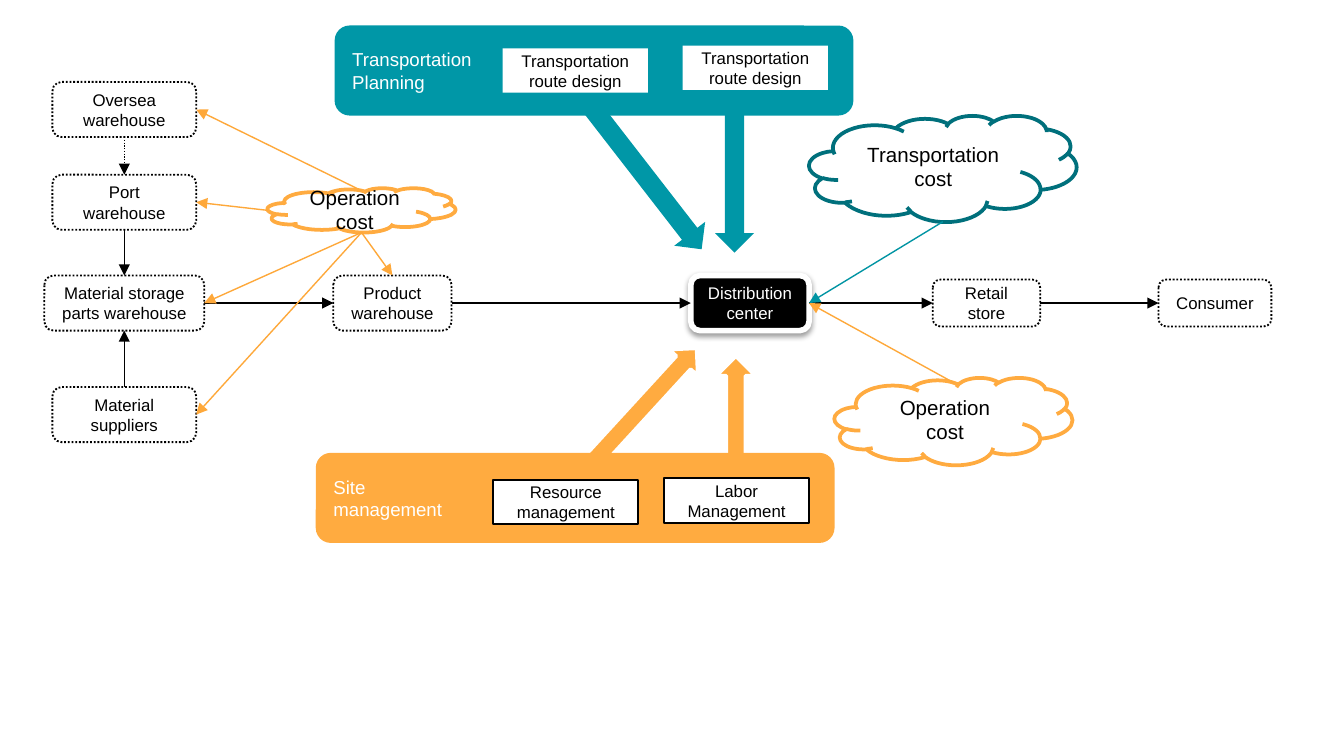
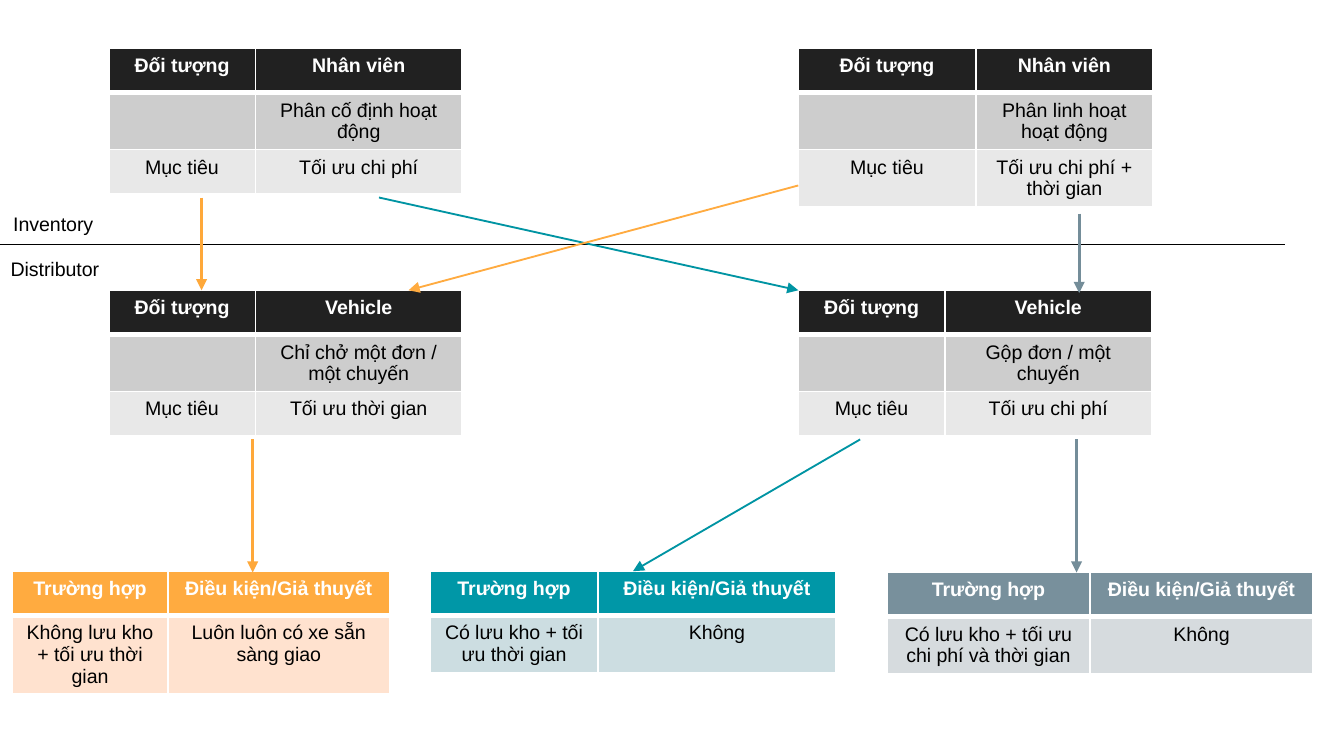
from lxml import etree
from pptx import Presentation
from pptx.dml.color import RGBColor
from pptx.enum import dml, shapes, text
from pptx.oxml import ns
from pptx.util import Inches, Pt

FONT = "Arial"
BLACK, WHITE = "000000", "FFFFFF"
TEAL, DEEP, SEA = "0097A7", "00707C", "0094A3"
AMBER, GOLD = "FFAB40", "FEA83A"
SLATE, STEEL = "78909C", "748D99"
DARK, GREY, PALE = "212121", "CDCDCD", "E8E8E8"
KIND = shapes.MSO_SHAPE

BOXES = {
    "supply": ("Material suppliers", 0.39, 2.88, 1.07, 0.41),
    "center": ("Distribution center", 5.14, 2.05, 0.88, 0.41),
    "retail": ("Retail store", 6.94, 2.08, 0.8, 0.35),
    "buyer": ("Consumer", 8.62, 2.08, 0.84, 0.35),
    "sea": ("Oversea warehouse", 0.39, 0.61, 1.07, 0.41),
    "port": ("Port warehouse", 0.39, 1.3, 1.07, 0.41),
    "parts": ("Material storage parts warehouse", 0.33, 2.05, 1.19, 0.41),
    "goods": ("Product warehouse", 2.48, 2.05, 0.88, 0.41),
}
FLOWS = [
    ("supply", "top", "parts", "bottom"),
    ("sea", "bottom", "port", "top"),
    ("port", "bottom", "parts", "top"),
    ("parts", "right", "goods", "left"),
    ("goods", "right", "center", "left"),
    ("center", "right", "retail", "left"),
    ("retail", "right", "buyer", "left"),
]
PANELS = [
    ("Transportation\nPlanning", TEAL, (2.49, 0.19), None, None,
     [(5.32, 0.5, 1.38, 0), (4.65, 0.61, 1.39, 322.2)],
     [("Transportation route design", 3.74, 0.36),
      ("Transportation route design", 5.08, 0.34)]),
    ("Site\nmanagement", AMBER, (2.35, 3.37), WHITE, BLACK,
     [(5.33, 2.65, 1.2, 180), (4.65, 2.44, 1.15, 222.5)],
     [("Resource management", 3.67, 3.57),
      ("Labor Management", 4.94, 3.56)]),
]
CLOUDS = {
    "freight": ("Transportation cost", DEEP, 6.02, 0.86, 1.99, 0.79),
    "site": ("Operation cost", AMBER, 6.21, 2.81, 1.77, 0.65),
    "stock": ("Operation cost", AMBER, 1.99, 1.4, 1.4, 0.33),
}
COSTS = [
    ("freight", "bottom", "center", "right", SEA),
    ("site", "top", "center", "right", GOLD),
    ("stock", "bottom", "goods", "top", GOLD),
    ("stock", "bottom", "parts", "right", GOLD),
    ("stock", "bottom", "supply", "right", GOLD),
    ("stock", "top", "sea", "right", GOLD),
    ("stock", "left", "port", "right", GOLD),
]

STAFF, CAR = ["Đối tượng", "Nhân viên"], ["Đối tượng", "Vehicle"]
CASE = ["Trường hợp", "Điều kiện/Giả thuyết"]
PLAIN = [DARK, GREY, PALE]
TABLES = [
    (0.81, 0.36, [1.09, 1.54], PLAIN,
     [STAFF, ["", "Phân cố định hoạt động"], ["Mục tiêu", "Tối ưu chi phí"]]),
    (5.94, 0.36, [1.32, 1.32], PLAIN,
     [STAFF, ["", "Phân linh hoạt hoạt động"],
      ["Mục tiêu", "Tối ưu chi phí + thời gian"]]),
    (0.81, 2.16, [1.09, 1.54], PLAIN,
     [CAR, ["", "Chỉ chở một đơn / một chuyến"],
      ["Mục tiêu", "Tối ưu thời gian"]]),
    (5.94, 2.16, [1.09, 1.54], PLAIN,
     [CAR, ["", "Gộp đơn / một chuyến"], ["Mục tiêu", "Tối ưu chi phí"]]),
    (0.09, 4.25, [1.16, 1.65], [AMBER, "FFE2CF"],
     [CASE, ["Không lưu kho + tối ưu thời gian",
             "Luôn luôn có xe sẵn sàng giao"]]),
    (3.2, 4.25, [1.25, 1.77], [TEAL, "CCDDE1"],
     [CASE, ["Có lưu kho + tối ưu thời gian", "Không"]]),
    (6.6, 4.26, [1.51, 1.66], [SLATE, "D6DBDE"],
     [CASE, ["Có lưu kho + tối ưu chi phí và thời gian", "Không"]]),
]
PATHS = [
    ((1.5, 1.47), (1.5, 2.16), GOLD, 1.5),
    ((1.88, 3.27), (1.88, 4.26), GOLD, 1.5),
    ((2.82, 1.47), (5.94, 2.16), SEA, 1),
    ((6.4, 3.27), (4.71, 4.25), SEA, 1),
    ((8.03, 1.59), (8.03, 2.18), STEEL, 1.5),
    ((8.01, 3.27), (8.01, 4.26), STEEL, 1.5),
    ((5.94, 1.38), (3.04, 2.16), AMBER, 1),
]
LABELS = [("Inventory", 0, 1.53), ("Distributor", -0.02, 1.86)]


def rgb(code):
    return RGBColor.from_string(code)


def add(node, tag, **attrs):
    return etree.SubElement(node, ns.qn(tag), attrs)


def write(frame, words, size=9, color=BLACK, bold=False, center=True):
    frame.word_wrap = True
    for n, line in enumerate(words.split("\n")):
        para = frame.add_paragraph() if n else frame.paragraphs[0]
        para.alignment = text.PP_ALIGN.CENTER if center else text.PP_ALIGN.LEFT
        run = para.add_run()
        run.text = line
        run.font.name, run.font.size = FONT, Pt(size)
        run.font.bold, run.font.color.rgb = bold, rgb(color)


def trace(line, color, width, dash):
    line.color.rgb = rgb(color)
    line.width = Pt(width)
    if dash:
        line.dash_style = dml.MSO_LINE.ROUND_DOT


def draw(host, kind, area, fill=WHITE, edge=None, width=1, dash=False,
         turn=0, words="", **style):
    shape = host.shapes.add_shape(kind, *map(Inches, area))
    shape.shadow.inherit = False
    shape.rotation = turn
    shape.fill.solid()
    shape.fill.fore_color.rgb = rgb(fill)
    if edge:
        trace(shape.line, edge, width, dash)
    else:
        shape.line.fill.background()
    if words:
        shape.text_frame.vertical_anchor = text.MSO_ANCHOR.MIDDLE
        write(shape.text_frame, words, **style)
    return shape


def join(slide, start, end, color=BLACK, width=0.75, dash=False, head=True):
    link = slide.shapes.add_connector(
        shapes.MSO_CONNECTOR.STRAIGHT, *map(Inches, (*start, *end)))
    trace(link.line, color, width, dash)
    props = link._element.spPr
    if head:
        add(props.find(ns.qn("a:ln")), "a:tailEnd", type="triangle")
    add(props, "a:effectLst")


def dock(name, side):
    cloud = name in CLOUDS
    x, y, w, h = (CLOUDS if cloud else BOXES)[name][-4:]
    dip = 0.057 * h if cloud else 0
    return {"top": (x + w / 2, y + dip), "bottom": (x + w / 2, y + h),
            "left": (x, y + h / 2), "right": (x + w, y + h / 2)}[side]


def glow(shape):
    cast = add(shape._element.spPr.find(ns.qn("a:effectLst")), "a:outerShdw",
               blurRad=str(Pt(3.1)), dist=str(Pt(1.6)), dir="5400000",
               rotWithShape="0")
    add(add(cast, "a:srgbClr", val=BLACK), "a:alpha", val="38000")


def panel(slide, title, tint, spot, rim, edge, arrows, cards):
    group = None if rim else slide.shapes.add_group_shape()
    for x, y, tall, turn in arrows:
        draw(group or slide, KIND.DOWN_ARROW, (x, y, 0.29, tall), tint, rim, 2,
             turn=turn)
    group = group or slide.shapes.add_group_shape()
    draw(group, KIND.ROUNDED_RECTANGLE, (*spot, 3.86, 0.67), tint,
         words=title, size=10, color=WHITE, center=False)
    for words, x, y in cards:
        draw(group, KIND.RECTANGLE, (x, y, 1.08, 0.33), WHITE, edge,
             words=words)


def network(slide):
    for name, (words, *area) in BOXES.items():
        if name == "center":
            glow(draw(slide, KIND.ROUNDED_RECTANGLE, area, BLACK, WHITE, 3,
                      words=words, color=WHITE))
        else:
            draw(slide, KIND.ROUNDED_RECTANGLE, area, WHITE, BLACK, dash=True,
                 words=words)
    for a, out, b, into in FLOWS:
        join(slide, dock(a, out), dock(b, into), dash=a == "sea")
    for item in PANELS:
        panel(slide, *item)
    for words, tint, *area in CLOUDS.values():
        draw(slide, KIND.CLOUD, area, WHITE, tint, 2, words=words, size=11)
    for a, out, b, into, tint in COSTS:
        join(slide, dock(a, out), dock(b, into), tint)


def grid(slide, x, y, cols, fills, rows):
    area = (x, y, sum(cols), 0.33 * len(rows))
    table = slide.shapes.add_table(
        len(rows), len(cols), *map(Inches, area)).table
    for col, wide in zip(table.columns, cols):
        col.width = Inches(wide)
    for r, row in enumerate(rows):
        table.rows[r].height = Inches(0.33)
        for c, words in enumerate(row):
            cell = table.cell(r, c)
            props = cell._tc.get_or_add_tcPr()
            for side in "LRTB":
                thick = (r, side) in [(0, "B"), (1, "T")]
                line = add(props, "a:ln" + side, w=str(Pt(3 if thick else 1)))
                add(add(line, "a:solidFill"), "a:srgbClr", val=WHITE)
            cell.fill.solid()
            cell.fill.fore_color.rgb = rgb(fills[r])
            if words:
                write(cell.text_frame, words, size=10.5, bold=r == 0,
                      color=BLACK if r else WHITE)


def cases(slide):
    for item in TABLES:
        grid(slide, *item)
    join(slide, (-0.05, 1.82), (9.56, 1.82), head=False)
    for item in PATHS:
        join(slide, *item)
    for words, x, y in LABELS:
        box = slide.shapes.add_textbox(*map(Inches, (x, y, 1.21, 0.29)))
        write(box.text_frame, words, size=10.5, center=False)


def main():
    deck = Presentation()
    deck.slide_width = Inches(10)
    deck.slide_height = Inches(10 * 9 / 16)
    for build in (network, cases):
        build(deck.slides.add_slide(deck.slide_layouts[6]))
    deck.save("out.pptx")


if __name__ == "__main__":
    main()
